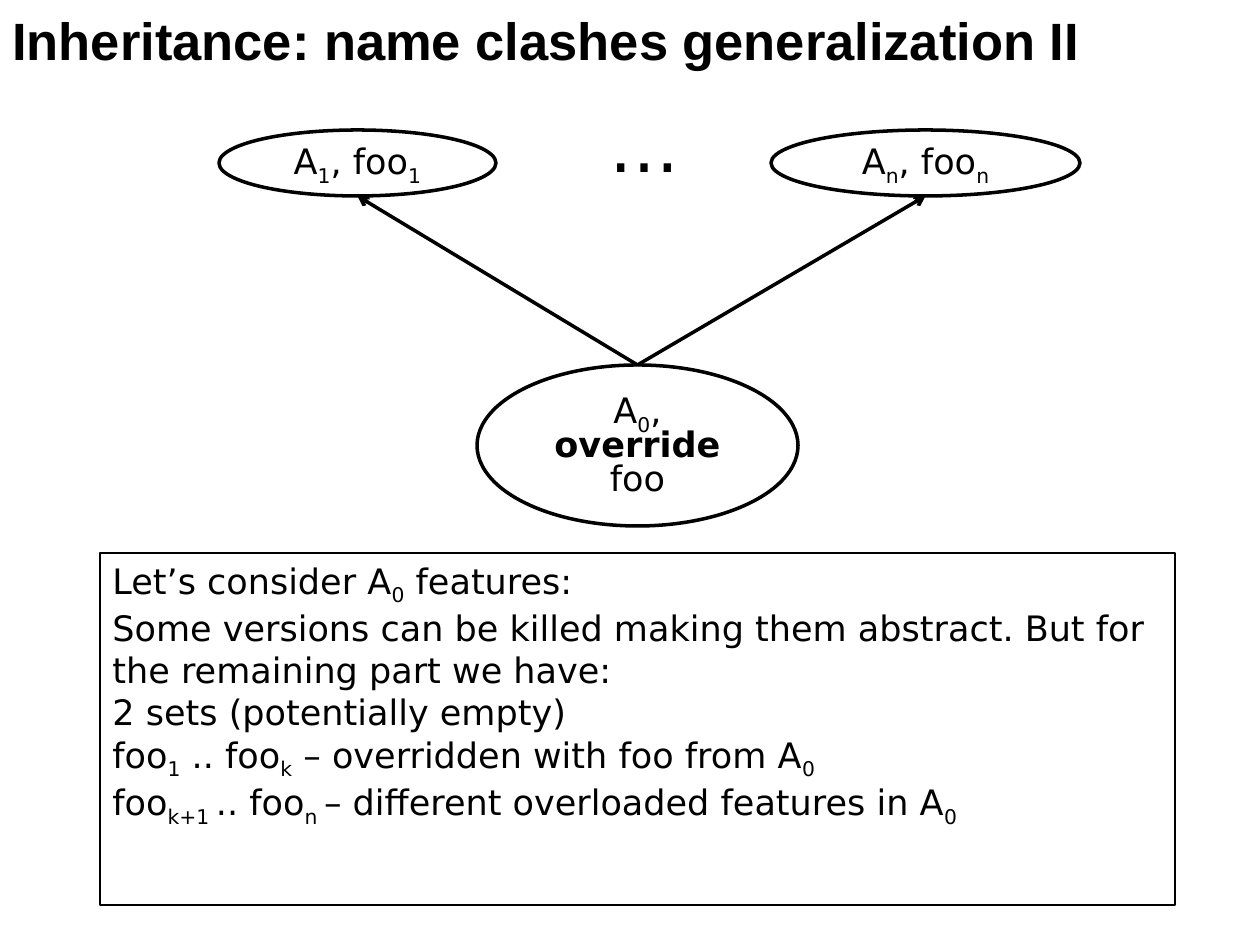
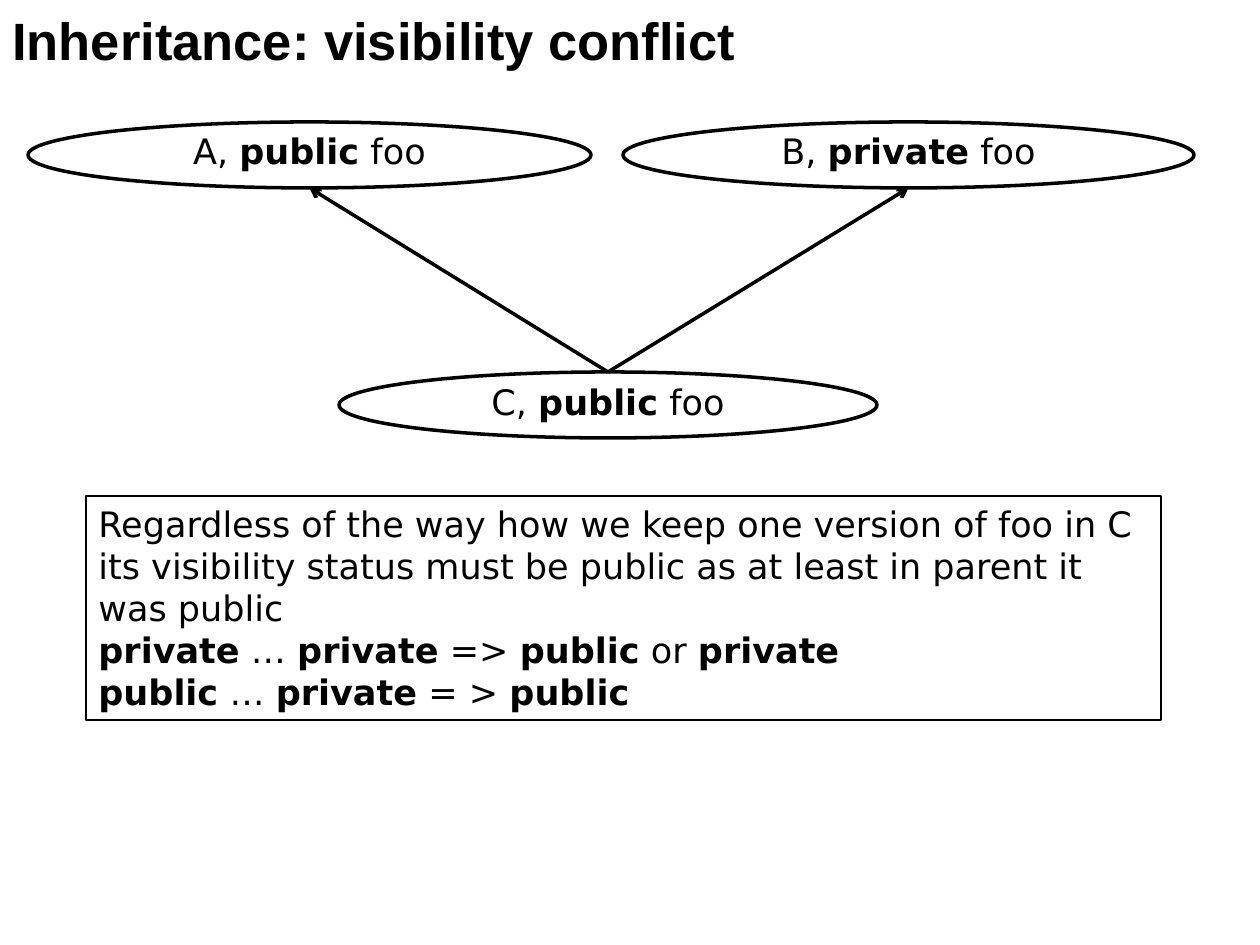
from lxml import etree
from pptx import Presentation
from pptx.dml.color import RGBColor
from pptx.enum.shapes import MSO_CONNECTOR, MSO_SHAPE
from pptx.enum.text import MSO_ANCHOR, PP_ALIGN
from pptx.oxml.ns import qn
from pptx.util import Pt

PX = 914400 / 126
COLORS = {"ink": "000000"}
TITLE_FONT, BODY_FONT = "Arial", "DejaVu Sans"
OVAL, RECTANGLE = MSO_SHAPE.OVAL, MSO_SHAPE.RECTANGLE
STRAIGHT = MSO_CONNECTOR.STRAIGHT
LEFT, CENTER = PP_ALIGN.LEFT, PP_ALIGN.CENTER
TOP, MIDDLE = MSO_ANCHOR.TOP, MSO_ANCHOR.MIDDLE


def px(*lengths):
    return [round(length * PX) for length in lengths]


def ink():
    return RGBColor.from_string(COLORS["ink"])


def add_spans(para, text):
    """Write text in which ~x~ is a subscript and *x* is bold."""
    for i, part in enumerate(text.split("~")):
        for j, piece in enumerate(part.split("*")):
            if not piece:
                continue
            span = para.add_run()
            span.text = piece
            if i % 2:
                span._r.get_or_add_rPr().set("baseline", "-25000")
            if j % 2:
                span.font.bold = True


def write(shape, lines, size=20, font=BODY_FONT, bold=False,
          align=LEFT, anchor=TOP, spacing=1.0):
    frame = shape.text_frame
    frame.word_wrap = True
    frame.vertical_anchor = anchor
    for i, line in enumerate(lines):
        para = frame.add_paragraph() if i else frame.paragraphs[0]
        para.alignment = align
        para.line_spacing = spacing
        para.font.size = Pt(size)
        para.font.name = font
        para.font.bold = bold
        para.font.color.rgb = ink()
        add_spans(para, line)


def add_label(page, box, text, **style):
    write(page.shapes.add_textbox(*px(*box)), [text], **style)


def add_outlined(page, kind, box, width):
    shape = page.shapes.add_shape(kind, *px(*box))
    shape.shadow.inherit = False
    shape.fill.background()
    shape.line.color.rgb = ink()
    shape.line.width = Pt(width)
    return shape


def add_class(page, box, text):
    oval = add_outlined(page, OVAL, box, 2)
    write(oval, [text], align=CENTER, anchor=MIDDLE, spacing=0.8)
    return oval


def add_arrow(page, child, parent):
    """Point from the top of the child to the bottom of the parent."""
    arrow = page.shapes.add_connector(
        STRAIGHT, child.left + child.width // 2, child.top,
        parent.left + parent.width // 2, parent.top + parent.height)
    arrow.begin_connect(child, 0)
    arrow.line.color.rgb = ink()
    arrow.line.width = Pt(2)
    etree.SubElement(arrow.line._get_or_add_ln(), qn("a:tailEnd"), type="arrow")
    etree.SubElement(arrow._element.spPr, qn("a:effectLst"))


def add_inheritance(page, parents, child):
    """Draw the parent classes, the child class and the arrows between them."""
    ovals = [add_class(page, *parent) for parent in parents]
    heir = add_class(page, *child)
    for oval in ovals:
        add_arrow(page, heir, oval)


def add_notes_box(page, box, lines):
    write(add_outlined(page, RECTANGLE, box, 1), lines)


def add_page(deck, title):
    page = deck.slides.add_slide(deck.slide_layouts[6])
    add_label(page, (0, 1, 1260, 77), title, size=30, font=TITLE_FONT,
              bold=True, anchor=MIDDLE)
    return page


def add_name_clashes(deck):
    page = add_page(deck, "Inheritance: name clashes generalization II")
    add_inheritance(
        page,
        [((219, 130, 277, 66), "A~1~, foo~1~"),
         ((771, 130, 309, 66), "A~n~, foo~n~")],
        ((477, 365, 321, 161), "A~0~, *override* foo"))
    add_notes_box(page, (100, 553, 1075, 352), [
        "Let’s consider A~0~ features:",
        "Some versions can be killed making them abstract. "
        "But for the remaining part we have:",
        "2 sets (potentially empty)",
        "foo~1~ .. foo~k~ – overridden with foo from A~0~",
        "foo~k+1 ~.. foo~n ~– different overloaded features in A~0~",
    ])
    add_label(page, (597, 96, 81, 97), "…", size=40)


def add_visibility_conflict(deck):
    page = add_page(deck, "Inheritance: visibility conflict")
    add_inheritance(
        page,
        [((28, 122, 563, 66), "A, *public* foo"),
         ((623, 122, 571, 66), "B, *private* foo")],
        ((339, 372, 538, 66), "C, *public* foo"))
    add_notes_box(page, (86, 496, 1075, 224), [
        "Regardless of the way how we keep one version of foo in C "
        "its visibility status must be public as at least in parent it "
        "was public",
        "*private* … *private* => *public* or *private*",
        "*public* … *private* = > *public*",
    ])


def main():
    deck = Presentation()
    deck.slide_width, deck.slide_height = px(1260, 945)
    add_name_clashes(deck)
    add_visibility_conflict(deck)
    deck.save("out.pptx")


if __name__ == "__main__":
    main()
